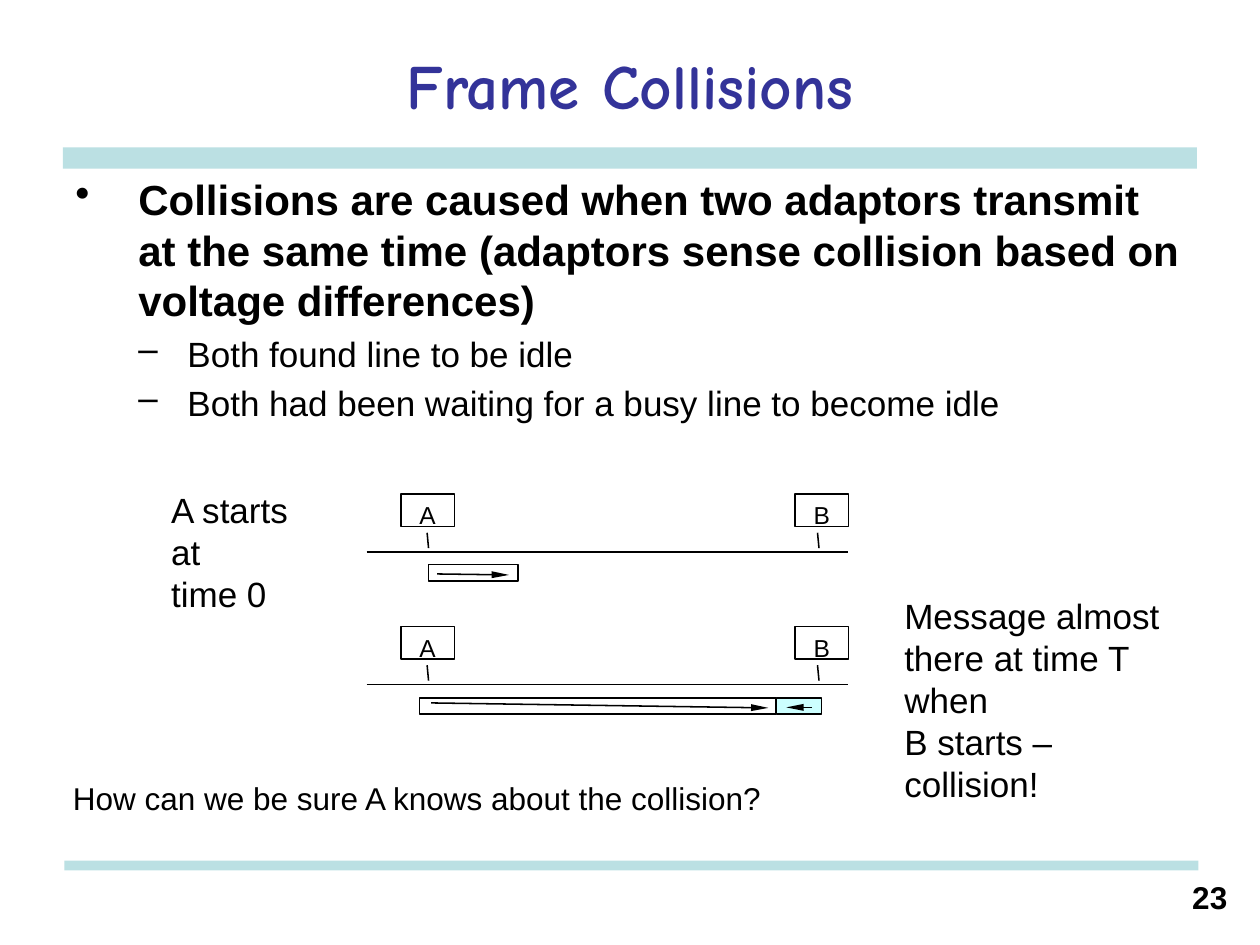
from dataclasses import dataclass
from typing import NamedTuple

from lxml.etree import SubElement
from pptx import Presentation
from pptx.dml.color import RGBColor
from pptx.enum.shapes import MSO_CONNECTOR, MSO_SHAPE
from pptx.enum.text import MSO_ANCHOR, PP_ALIGN
from pptx.oxml.ns import qn
from pptx.util import Cm, Pt


@dataclass(frozen=True)
class Theme:
    ink: RGBColor = RGBColor(0, 0, 0)
    head: RGBColor = RGBColor(0x33, 0x33, 0x99)
    band: RGBColor = RGBColor(0xBB, 0xE0, 0xE3)
    clash: RGBColor = RGBColor(0xCC, 0xFF, 0xFF)
    sans: str = "Arial"
    comic: str = "Comic Neue"
    title: float = 36
    lead: float = 24
    text: float = 20
    small: float = 18
    label: float = 14
    line: float = 0.87


class Box(NamedTuple):
    left: float
    top: float
    width: float
    height: float


class Line(NamedTuple):
    x1: float
    y1: float
    x2: float
    y2: float


class Item(NamedTuple):
    text: str
    size: float
    bold: bool = False
    mark: str = ""
    level: int = 0
    left: float = 0
    hang: float = 0
    before: float = 0


class Note(NamedTuple):
    box: Box
    items: list[Item]
    align: PP_ALIGN = PP_ALIGN.LEFT


class Frame(NamedTuple):
    box: Box
    arrow: Line
    fill: RGBColor | None = None


THEME = Theme()
BANDS = [Box(1.27, 2.97, 22.86, 0.43), Box(1.3, 17.35, 22.86, 0.2)]
TITLE = Note(Box(1.27, 0.43, 22.86, 2.54),
             [Item("Frame Collisions", THEME.title, True)], PP_ALIGN.CENTER)
POINTS = [
    Item("Collisions are caused when two adaptors transmit at the same time "
         "(adaptors sense collision based on voltage differences)",
         THEME.lead, True, "•", 0, 1.27, 1.27),
    *(Item(text, THEME.text, False, "–", 1, 2.26, 0.99, 4) for text in (
        "Both found line to be idle",
        "Both had been waiting for a busy line to become idle")),
]
NOTES = [
    Note(Box(1.27, 3.38, 22.86, 13.97), POINTS),
    Note(Box(23.29, 17.58, 1.7, 1.07),
         [Item("23", THEME.small, True)], PP_ALIGN.RIGHT),
    Note(Box(3.2, 9.73, 3.35, 1.96),
         [Item(text, THEME.text) for text in ("A starts at", "time 0")]),
    Note(Box(17.98, 11.86, 6.35, 2.79),
         [Item(text, THEME.text) for text in (
             "Message almost", "there at time T when",
             "B starts – collision!")]),
    Note(Box(1.22, 15.57, 17.45, 1.27),
         [Item("How can we be sure A knows about the collision?",
               THEME.small)]),
]
ROWS = [9.96, 12.63]
HOSTS = [("A", 8.08, 8.61), ("B", 16.03, 16.48)]
FRAMES = [
    Frame(Box(8.64, 11.38, 1.8, 0.33), Line(8.81, 11.57, 10.26, 11.59)),
    Frame(Box(8.46, 14.07, 7.19, 0.33), Line(8.69, 14.17, 15.49, 14.27)),
    Frame(Box(15.65, 14.07, 0.91, 0.33), Line(16.36, 14.26, 15.85, 14.26),
          THEME.clash),
]


def set_font(para, size: float, bold: bool = False,
             name: str = THEME.sans, color: RGBColor = THEME.ink) -> None:
    font = para.font
    font.name = name
    font.size = Pt(size)
    font.bold = bold
    font.color.rgb = color


def add_mark(para, item: Item) -> None:
    props = para._p.get_or_add_pPr()
    props.set("marL", str(Cm(item.left)))
    props.set("indent", str(-Cm(item.hang)))
    SubElement(props, qn("a:buChar")).set("char", item.mark)


def add_note(slide, note: Note, name: str = THEME.sans,
             color: RGBColor = THEME.ink,
             anchor: MSO_ANCHOR = MSO_ANCHOR.TOP) -> None:
    frame = slide.shapes.add_textbox(*map(Cm, note.box)).text_frame
    frame.word_wrap = True
    frame.vertical_anchor = anchor
    for index, item in enumerate(note.items):
        para = frame.add_paragraph() if index else frame.paragraphs[0]
        para.text = item.text
        para.alignment = note.align
        para.level = item.level
        if item.mark:
            add_mark(para, item)
        if item.before:
            para.space_before = Pt(item.before)
        set_font(para, item.size, item.bold, name, color)


def add_rect(slide, box: Box, fill: RGBColor | None = None,
             edge: bool = True):
    rect = slide.shapes.add_shape(MSO_SHAPE.RECTANGLE, *map(Cm, box))
    rect.shadow.inherit = False
    if fill is None:
        rect.fill.background()
    else:
        rect.fill.solid()
        rect.fill.fore_color.rgb = fill
    if edge:
        rect.line.color.rgb = THEME.ink
        rect.line.width = Pt(THEME.line)
    else:
        rect.line.fill.background()
    return rect


def add_line(slide, line: Line, arrow: bool = False) -> None:
    link = slide.shapes.add_connector(MSO_CONNECTOR.STRAIGHT, *map(Cm, line))
    link.line.color.rgb = THEME.ink
    link.line.width = Pt(THEME.line)
    if arrow:
        tail = SubElement(link.line._get_or_add_ln(), qn("a:tailEnd"))
        for key, value in (("type", "triangle"), ("w", "sm"), ("len", "lg")):
            tail.set(key, value)
    SubElement(link._element.spPr, qn("a:effectLst"))


def add_host(slide, name: str, left: float, stem: float, top: float) -> None:
    frame = add_rect(slide, Box(left, top, 1.08, 0.66)).text_frame
    frame.margin_left = frame.margin_right = frame.margin_bottom = 0
    frame.margin_top = Cm(0.13)
    frame.vertical_anchor = MSO_ANCHOR.TOP
    para = frame.paragraphs[0]
    para.text = name
    para.alignment = PP_ALIGN.CENTER
    set_font(para, THEME.label)
    add_line(slide, Line(stem, top + 0.78, stem + 0.03, top + 1.09))


def main() -> None:
    deck = Presentation()
    deck.slide_width, deck.slide_height = Cm(25.4), Cm(19.05)
    slide = deck.slides.add_slide(deck.slide_layouts[6])
    for band in BANDS:
        add_rect(slide, band, THEME.band, False)
    add_note(slide, TITLE, THEME.comic, THEME.head, MSO_ANCHOR.MIDDLE)
    for note in NOTES:
        add_note(slide, note)
    for top in ROWS:
        for host in HOSTS:
            add_host(slide, *host, top)
        add_line(slide, Line(7.39, top + 1.17, 17.09, top + 1.17))
    for box, arrow, fill in FRAMES:
        add_rect(slide, box, fill)
        add_line(slide, arrow, True)
    deck.save("out.pptx")


if __name__ == "__main__":
    main()
